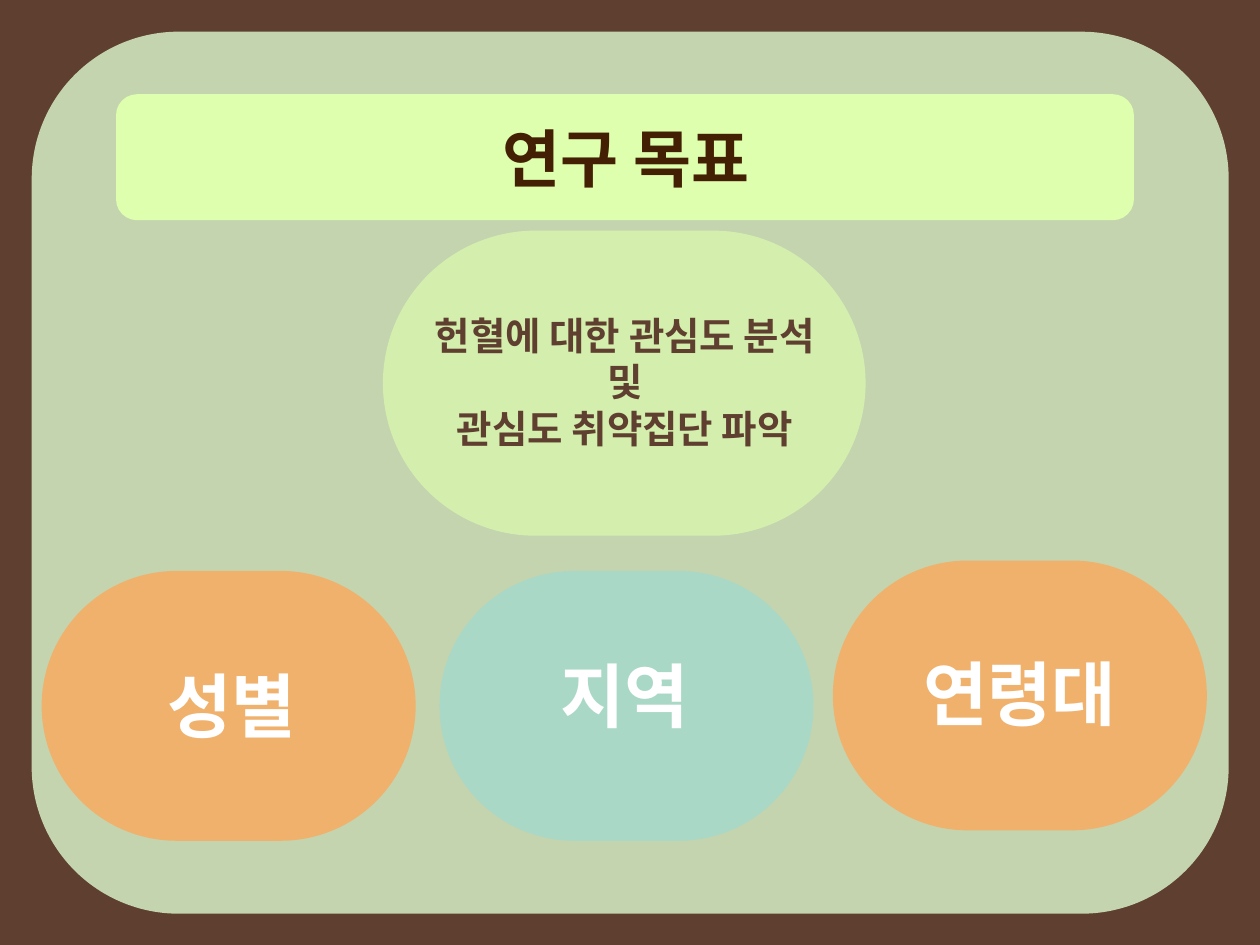
from lxml.etree import SubElement
from pptx import Presentation
from pptx.dml.color import RGBColor
from pptx.enum.shapes import MSO_SHAPE as Shape
from pptx.enum.text import MSO_ANCHOR as Anchor, MSO_AUTO_SIZE as Fit, PP_ALIGN as Align
from pptx.oxml.ns import qn
from pptx.util import Cm, Pt

FONT = "Noto Sans CJK KR"
BROWN = RGBColor(0x5F, 0x3F, 0x30)
DARK = RGBColor(0x43, 0x20, 0x03)
SAGE = RGBColor(0xC4, 0xD4, 0xAF)
LIME = RGBColor(0xDE, 0xFF, 0xAD)
ORANGE = RGBColor(0xF0, 0xB1, 0x6C)
TEAL = RGBColor(0xA9, 0xD8, 0xC6)
WHITE = RGBColor(0xFF, 0xFF, 0xFF)

PILL = (7.54, 5.44)
# label, fill, pill left and top, label left, top and width
GROUPS = [
    ("연령대", ORANGE, (16.79, 11.3), (18.21, 12.98, 4.7)),
    ("지역", TEAL, (8.86, 11.51), (10.95, 13.03, 3.3)),
    ("성별", ORANGE, (0.84, 11.51), (3.02, 13.23, 3.3)),
]


def add_panel(slide, box, color, round_by=0.1667, alpha=None):
    """Add a rounded panel; alpha is its opacity in percent."""
    panel = slide.shapes.add_shape(Shape.ROUNDED_RECTANGLE, *map(Cm, box))
    panel.adjustments[0] = round_by
    panel.shadow.inherit = False
    panel.line.fill.background()
    panel.fill.solid()
    panel.fill.fore_color.rgb = color
    if alpha:
        tint = panel.fill._xPr.find(".//" + qn("a:srgbClr"))
        SubElement(tint, qn("a:alpha"), val=str(alpha * 1000))


def write(frame, lines, size, color, wrap=False):
    frame.word_wrap = wrap
    frame.auto_size = Fit.SHAPE_TO_FIT_TEXT
    frame.vertical_anchor = Anchor.TOP
    for i, line in enumerate(lines):
        para = frame.add_paragraph() if i else frame.paragraphs[0]
        para.alignment = Align.CENTER
        run = para.add_run()
        run.text = line
        font = run.font
        font.size, font.bold, font.name = Pt(size), True, FONT
        font.color.rgb = color
        SubElement(font._element, qn("a:ea"), typeface=FONT)


def add_label(slide, box, lines, size, color):
    label = slide.shapes.add_textbox(*map(Cm, box))
    write(label.text_frame, lines, size, color)


def set_title(slide, box, text):
    """Place the title placeholder in front of what is drawn so far."""
    title = slide.shapes.title
    title.left, title.top, title.width, title.height = map(Cm, box)
    write(title.text_frame, [text], 36, DARK, wrap=True)
    slide.shapes._spTree.append(title._element)


def main():
    deck = Presentation()
    deck.slide_width, deck.slide_height = Cm(25.4), Cm(19.05)
    slide = deck.slides.add_slide(deck.slide_layouts[5])
    back = slide.background.fill
    back.solid()
    back.fore_color.rgb = BROWN

    add_panel(slide, (0.64, 0.64, 24.13, 17.78), SAGE)
    add_panel(slide, (7.72, 4.65, 9.73, 6.15), LIME, 0.5, alpha=65)
    goal = ["헌혈에 대한 관심도 분석", "및", "관심도 취약집단 파악"]
    add_label(slide, (8.1, 6.17, 8.99, 3.07), goal, 22, BROWN)
    add_panel(slide, (2.34, 1.9, 20.52, 2.54), LIME)
    set_title(slide, (3.02, 2.29, 19.2, 1.8), "연구 목표")

    for name, color, corner, (left, top, width) in GROUPS:
        add_panel(slide, corner + PILL, color, 0.5)
        add_label(slide, (left, top, width, 1.96), [name], 40, WHITE)
    deck.save("out.pptx")


if __name__ == "__main__":
    main()
